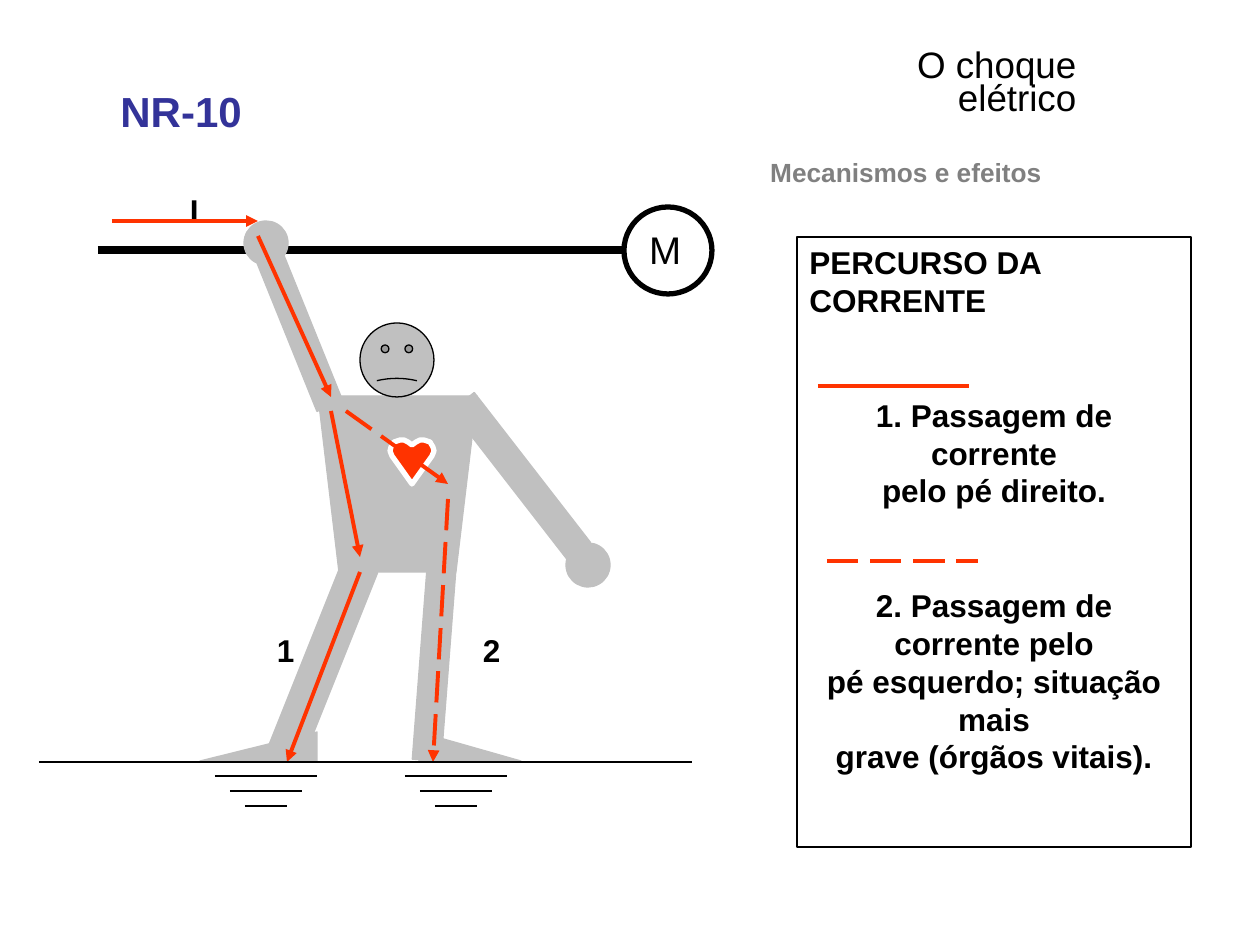
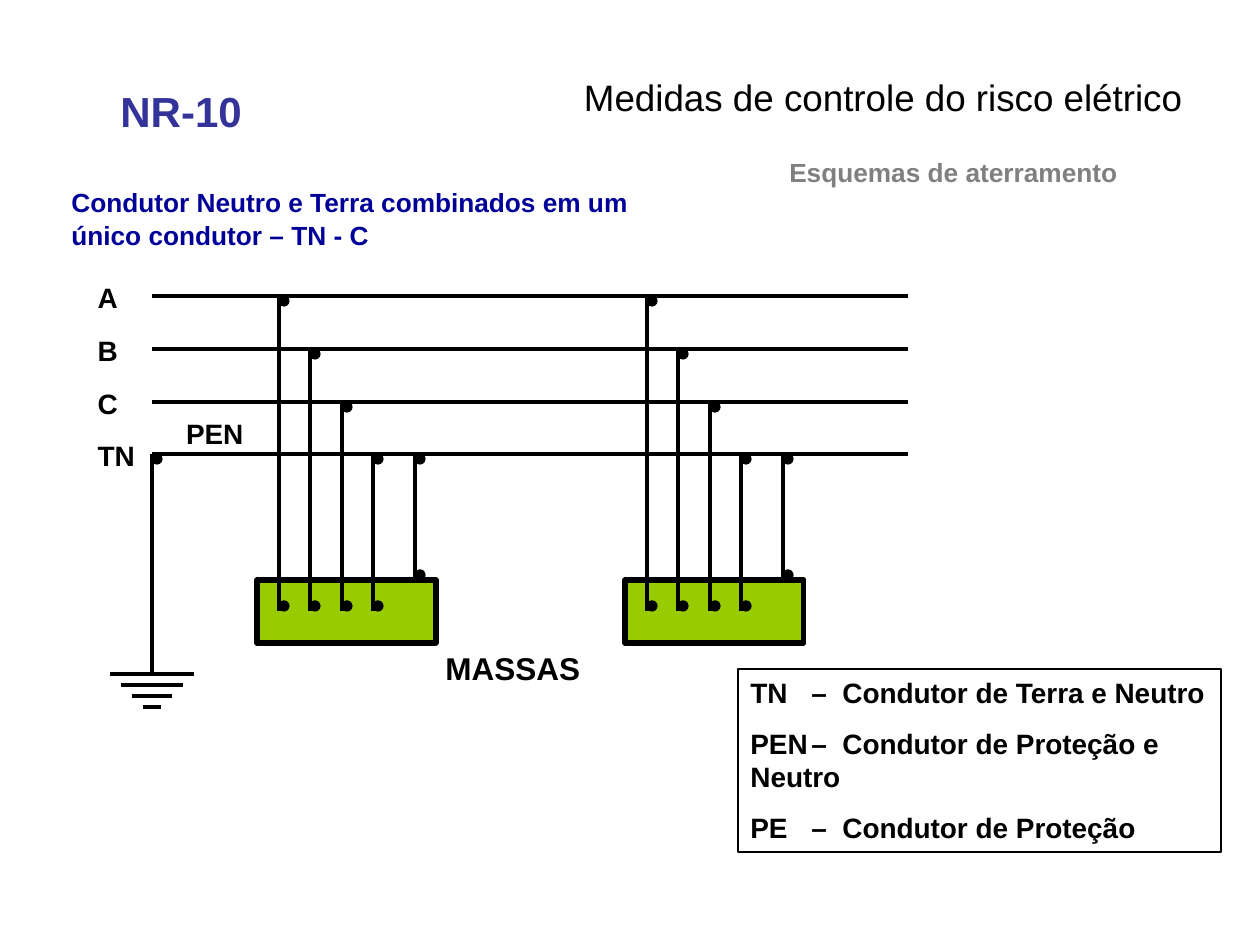
"""Build two NR-10 slides: the path of a shock current and the TN-C earthing scheme."""
from dataclasses import dataclass

from lxml import etree
from pptx import Presentation
from pptx import util as u
from pptx.dml.color import RGBColor
from pptx.enum import dml, shapes, text
from pptx.oxml.ns import qn

SCALE = 914400 / 126
KIND = shapes.MSO_SHAPE
ALIGN = text.PP_ALIGN
ANCHOR = text.MSO_ANCHOR


@dataclass(frozen=True)
class Theme:
    """Colours, font and type sizes shared by the slides."""
    font: str = "Arial"
    ink: str = "000000"
    paper: str = "FFFFFF"
    body: str = "C0C0C0"
    current: str = "FF3300"
    machine: str = "99CC00"
    tag: str = "333399"
    muted: str = "808080"
    heading: str = "000099"
    tag_size: int = 24
    title_size: int = 21
    motor_size: int = 22
    text_size: int = 18
    label_size: int = 16
    sub_size: int = 15


T = Theme()


def px(n):
    """Turn px into EMU."""
    return u.Emu(round(n * SCALE))


def rgb(code):
    """Turn a hex code into a colour."""
    return RGBColor.from_string(code)


def place(sp, box):
    """Move and size a shape to a box in px."""
    sp.left, sp.top, sp.width, sp.height = map(px, box)


def style(sp, fill=None, line=None, weight=0.75):
    """Set fill and outline and drop the shadow."""
    sp.shadow.inherit = False
    if fill:
        sp.fill.solid()
        sp.fill.fore_color.rgb = rgb(fill)
    else:
        sp.fill.background()
    if line:
        sp.line.color.rgb = rgb(line)
        sp.line.width = u.Pt(weight)
    else:
        sp.line.fill.background()
    return sp


def shape(s, kind, box, fill=None, line=None, weight=0.75, turn=0):
    """Add a preset shape."""
    sp = s.shapes.add_shape(kind, *map(px, box))
    sp.rotation = turn
    return style(sp, fill, line, weight)


def outline(s, points, fill, line, weight=0.75):
    """Add a closed freeform through points in px."""
    builder = s.shapes.build_freeform(*points[0], scale=SCALE)
    builder.add_line_segments(points[1:], close=True)
    return style(builder.convert_to_shape(), fill, line, weight)


def line(s, x1, y1, x2, y2, color=T.ink, weight=2.25, dashed=False, arrow=False):
    """Add a straight line, dashed or with an arrowhead if asked."""
    c = s.shapes.add_connector(shapes.MSO_CONNECTOR.STRAIGHT, *map(px, (x1, y1, x2, y2)))
    c.line.color.rgb = rgb(color)
    c.line.width = u.Pt(weight)
    if dashed:
        c.line.dash_style = dml.MSO_LINE.LONG_DASH
    if arrow:
        etree.SubElement(c.line._get_or_add_ln(), qn("a:tailEnd"), type="triangle")
    etree.SubElement(c.element.spPr, qn("a:effectLst"))


def write(sp, paragraphs, size, color=T.ink, bold=True, align=ALIGN.LEFT,
          anchor=ANCHOR.TOP, wrap=False, spacing=None, after=0, tabs=()):
    """Fill a shape with paragraphs, each a list of lines, and return them."""
    tf = sp.text_frame
    tf.auto_size = text.MSO_AUTO_SIZE.NONE
    tf.word_wrap = wrap
    tf.vertical_anchor = anchor
    tf.margin_left = tf.margin_right = u.Inches(0.1)
    tf.margin_top = tf.margin_bottom = u.Inches(0.05)
    for i, lines in enumerate(paragraphs):
        p = tf.add_paragraph() if i else tf.paragraphs[0]
        p.alignment = align
        p.space_before = u.Pt(0)
        p.space_after = u.Pt(after)
        if spacing:
            p.line_spacing = u.Pt(spacing)
        if tabs:
            stops = etree.SubElement(p._p.get_or_add_pPr(), qn("a:tabLst"))
            for stop in tabs:
                etree.SubElement(stops, qn("a:tab"), pos=str(px(stop)), algn="l")
        for j, words in enumerate(lines):
            if j:
                p.add_line_break()
            r = p.add_run()
            r.text = words
            r.font.name = T.font
            r.font.size = u.Pt(size)
            r.font.bold = bold
            r.font.color.rgb = rgb(color)
    return tf.paragraphs


def text_box(s, box, lines, size, **options):
    """Add a text box with one paragraph."""
    write(s.shapes.add_textbox(*map(px, box)), [lines], size, **options)


def label(s, box, words, size=T.label_size, anchor=ANCHOR.MIDDLE):
    """Add a short bold label in a clear ellipse."""
    write(shape(s, KIND.OVAL, box), [[words]], size, anchor=anchor)


def ground_bars(s, cx, y, half, step, count, weight):
    """Add centred bars that shorten downwards."""
    for i in range(count):
        reach = half - i * step
        line(s, cx - reach, y + i * step, cx + reach, y + i * step, weight=weight)


def new_slide(prs, title, title_box, subtitle, subtitle_box):
    """Add a slide with the NR-10 tag, title and subtitle."""
    s = prs.slides.add_slide(prs.slide_layouts[5])
    heading = dict(align=ALIGN.RIGHT, anchor=ANCHOR.BOTTOM, spacing=19, after=3)
    place(s.shapes.title, title_box)
    write(s.shapes.title, [[title]], T.title_size, bold=False, **heading)
    text_box(s, (108, 79, 158, 63), ["NR-10"], T.tag_size, color=T.tag)
    text_box(s, subtitle_box, [subtitle], T.sub_size, color=T.muted, **heading)
    return s


def figure(s):
    """Draw the person, with the heart, holding the conductor."""
    grey = dict(fill=T.body, line=T.body)
    outline(s, [(318, 396), (339, 572), (456, 572), (477, 396)], **grey)
    shape(s, KIND.OVAL, (566, 543, 44, 44), **grey)
    shape(s, KIND.RECTANGLE, (426, 462, 190, 29), turn=52.2, **grey)
    line(s, 98, 250, 624, 250, weight=4.5)
    face = shape(s, KIND.SMILEY_FACE, (360, 323, 74, 74), T.body, T.ink)
    face.adjustments[0] = -0.016
    shape(s, KIND.OVAL, (244, 221, 44, 44), **grey)
    shape(s, KIND.RIGHT_TRIANGLE, (419, 732, 102, 29), **grey)
    right = [(4, 442), (8, 440), (12, 440), (18, 442), (21, 447), (22, 451), (20, 456)]
    left = [(-dx, y) for dx, y in reversed(right)]
    heart = [(0, 445), *right, (0, 484), *left]
    outline(s, [(412 + dx, y) for dx, y in heart], T.current, T.paper, 3)
    for box, turn in (((222, 641, 202, 37), 291.8), ((339, 651, 190, 29), 274.4),
                      ((220, 318, 160, 28), 248)):
        shape(s, KIND.RECTANGLE, box, turn=turn, **grey)
    foot = shape(s, KIND.RIGHT_TRIANGLE, (200, 732, 117, 29), **grey)
    foot.element.spPr.find(qn("a:xfrm")).set("flipH", "1")


def current_legend(s):
    """Add the panel that explains the two current paths."""
    panel = shape(s, KIND.RECTANGLE, (797, 237, 394, 610), T.paper, T.ink)
    heading, *notes = write(panel, [
        ["PERCURSO DA CORRENTE"],
        ["1. Passagem de corrente", "pelo pé direito."],
        ["2. Passagem de corrente pelo", "pé esquerdo; situação mais", "grave (órgãos vitais)."],
    ], T.text_size, wrap=True, spacing=21.6)
    for p in notes:
        p.alignment = ALIGN.CENTER
        p.space_before = u.Pt(44)
    line(s, 827, 561, 978, 561, T.current, dashed=True)
    line(s, 818, 386, 969, 386, T.current)


def shock_slide(prs):
    """Build the slide on the path of the current through the body."""
    s = new_slide(prs, "O choque elétrico", (777, 78, 312, 47),
                  "Mecanismos e efeitos", (758, 147, 296, 47))
    label(s, (171, 178, 44, 44), "I", T.text_size, ANCHOR.TOP)
    figure(s)
    for cx in (266, 456):
        ground_bars(s, cx, 776, 51, 15, 3, 0.75)
    for *ends, dashed in ((112, 221, 258, 221, False), (258, 236, 331, 397, False),
                          (331, 411, 360, 557, False), (360, 572, 287, 762, False),
                          (346, 411, 448, 484, True), (448, 499, 433, 762, True)):
        line(s, *ends, T.current, dashed=dashed, arrow=True)
    line(s, 39, 762, 692, 762, weight=1.5)
    motor = shape(s, KIND.OVAL, (624, 207, 88, 87), T.paper, T.ink, 3)
    write(motor, [["M"]], T.motor_size, bold=False)
    for x, words in ((258, "1"), (464, "2")):
        label(s, (x, 616, 44, 58), words, T.text_size, ANCHOR.TOP)
    current_legend(s)


def dot(s, x, y):
    """Add a connection dot."""
    shape(s, KIND.OVAL, (x, y, 10, 10), T.ink, T.ink)


def machine(s, x, wires):
    """Add a machine with a drop from each wire and an earthed frame."""
    shape(s, KIND.RECTANGLE, (x, 580, 179, 63), T.machine, T.ink, 3)
    for i, y in enumerate(wires):
        drop = x + 22 + 63 * i // 2
        line(s, drop, y, drop, 611)
        dot(s, drop, y)
        dot(s, drop, 601)
    frame = x + 158
    line(s, frame, wires[-1], frame, 580)
    dot(s, frame, wires[-1])
    dot(s, frame, 570)


def earthing_slide(prs):
    """Build the slide on the TN-C earthing scheme."""
    s = new_slide(prs, "Medidas de controle do risco elétrico", (571, 78, 624, 47),
                  "Esquemas de aterramento", (777, 147, 353, 47))
    legend = shape(s, KIND.RECTANGLE, (738, 669, 483, 183), T.paper, T.ink, 1)
    write(legend, [["TN\t–\tCondutor de Terra e Neutro"],
                   ["PEN\t–\tCondutor de Proteção e Neutro"],
                   ["PE\t–\tCondutor de Proteção"]],
          T.label_size, wrap=True, spacing=19.2, after=10, tabs=(61, 92))
    text_box(s, (59, 178, 591, 79),
             ["Condutor Neutro e Terra combinados em um", "único condutor – TN - C"],
             T.sub_size, color=T.heading, spacing=19, after=3)
    wires = dict(zip(("A", "B", "C", "TN"), (296, 349, 402, 454)))
    for name, y in wires.items():
        line(s, 152, y, 908, y)
        label(s, (79, y - 20, 42, 42), name)
    label(s, (163, 412, 73, 42), "PEN")
    line(s, 152, wires["TN"], 152, 674)
    dot(s, 152, wires["TN"])
    ground_bars(s, 152, 674, 42, 11, 4, 2.25)
    for x in (257, 625):
        machine(s, x, list(wires.values()))
    text_box(s, (433, 643, 181, 50), ["MASSAS"], T.text_size)


def main():
    """Build and save the presentation."""
    prs = Presentation()
    prs.slide_width, prs.slide_height = px(1260), px(945)
    shock_slide(prs)
    earthing_slide(prs)
    prs.save("out.pptx")


if __name__ == "__main__":
    main()
